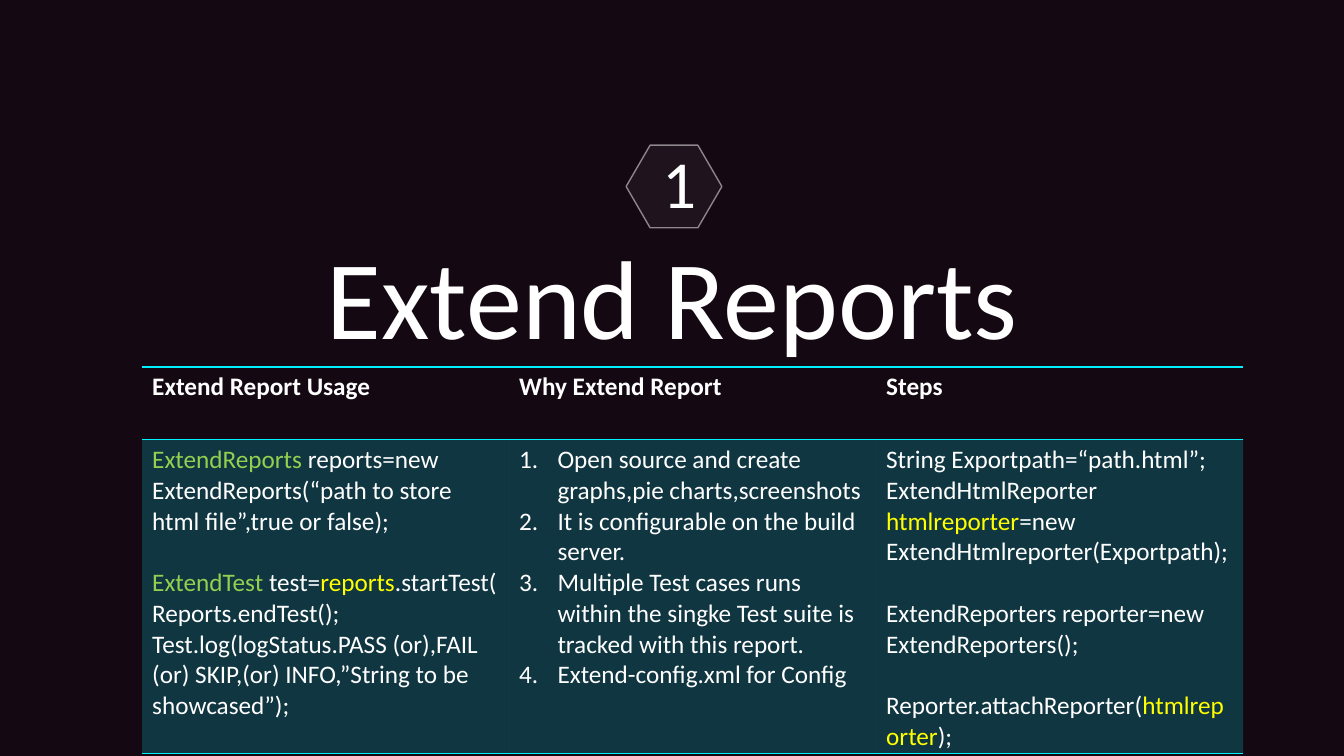
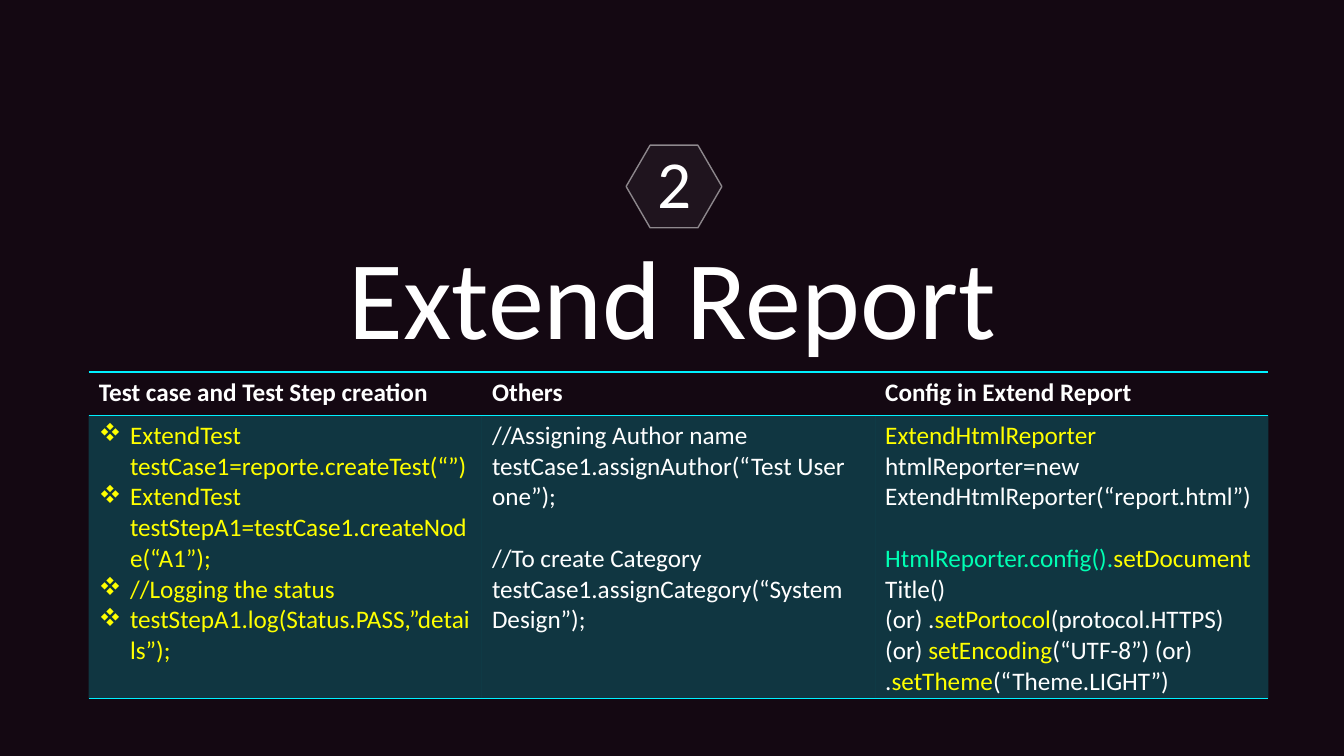
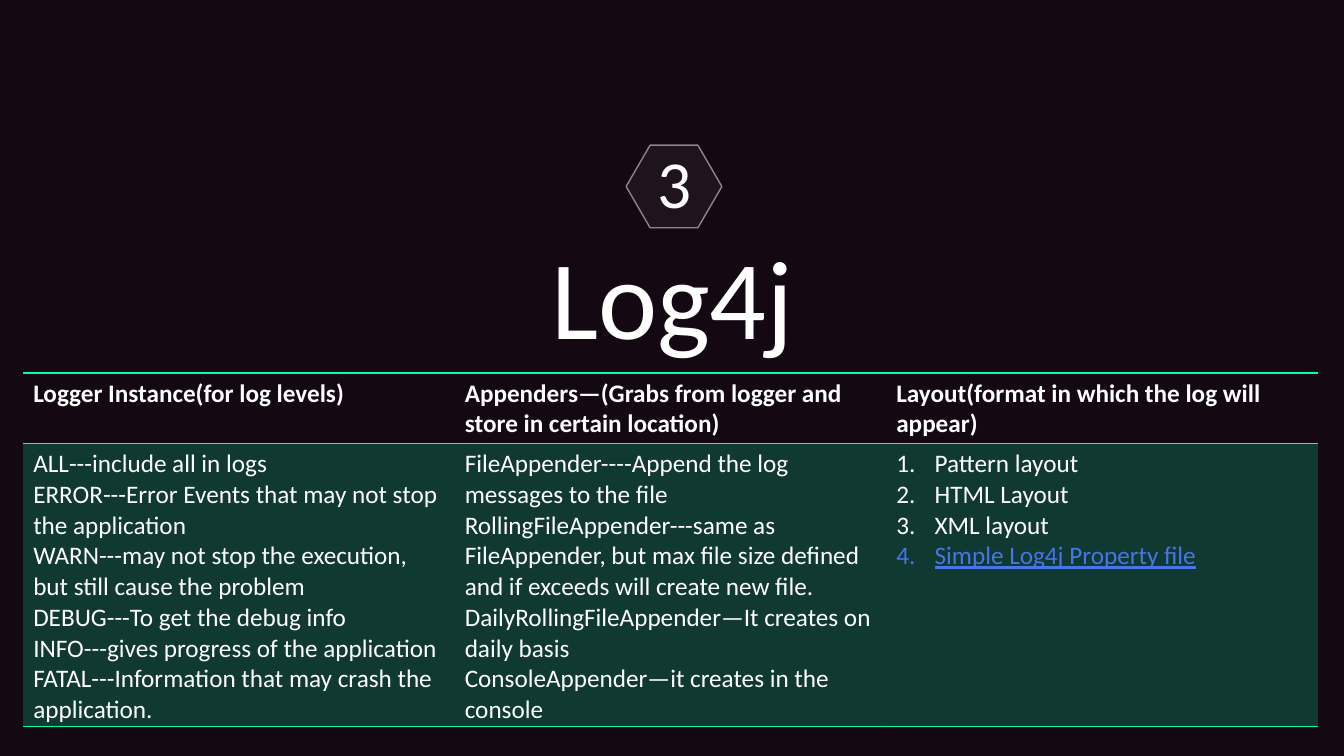
from dataclasses import dataclass

from lxml.etree import SubElement
from pptx import Presentation
from pptx.dml.color import RGBColor
from pptx.enum.shapes import MSO_SHAPE as Shape
from pptx.enum.text import MSO_AUTO_SIZE as AutoSize, PP_ALIGN as Align
from pptx.oxml.ns import qn
from pptx.util import Inches, Pt

# Shared look
FONT = "Calibri"
BACKGROUND = "140812"
WHITE = "FFFFFF"
YELLOW = "FFFF00"
LIME = "92D050"
CYAN = "00F1FF"
MINT = "00FFB3"
LINK_BLUE = "4775E7"
PLAIN_TABLE = "{2D5ABB26-0587-4C30-8999-92F81FD0307C}"
CENTER = 6.67
BODY_SIZE = 18
LINE_GAP = 22
NUMBER, DIAMOND = "number", "diamond"
INDENTS = {NUMBER: 0.38, DIAMOND: 0.31}


@dataclass
class Span:
    text: str
    color: str = WHITE
    underline: bool = False


@dataclass
class Line:
    spans: list
    bullet: str = ""
    gap: bool = False


def line(*parts, bullet="", gap=False):
    """Plain strings are white; a pair is a text and its colour."""
    spans = [Span(part) if isinstance(part, str) else Span(*part)
             for part in parts]
    return Line(spans, bullet, gap)


def lines(*texts, bullet="", color=WHITE):
    return [line((text, color), bullet=bullet) for text in texts]


# Formatting helpers
def rgb(color):
    return RGBColor.from_string(color)


def set_alpha(fill_parent, percent):
    color = fill_parent.find(qn("a:solidFill"))[0]
    SubElement(color, qn("a:alpha"), val=str(percent * 1000))


def add_span(para, text, size, color=WHITE, bold=False, underline=False):
    span = para.add_run()
    span.text = text
    span.font.name = FONT
    span.font.size = Pt(size)
    span.font.color.rgb = rgb(color)
    span.font.bold = bold
    if underline:
        span.font.underline = True
    return span


def set_bullet(para, kind):
    props = para._p.get_or_add_pPr()
    indent = Inches(INDENTS[kind])
    props.set("marL", str(indent))
    props.set("indent", str(-indent))
    if kind == NUMBER:
        SubElement(props, qn("a:buFont"), typeface="+mj-lt")
        SubElement(props, qn("a:buAutoNum"), type="arabicPeriod")
    else:
        # The letter v is the diamond in Wingdings
        SubElement(props, qn("a:buFont"), typeface="Wingdings", charset="2")
        SubElement(props, qn("a:buChar"), char="v")


def set_border(cell, side, color):
    props = cell._tc.get_or_add_tcPr()
    edge = SubElement(props, qn("a:" + side), w=str(Pt(1)))
    fill = SubElement(edge, qn("a:solidFill"))
    SubElement(fill, qn("a:srgbClr"), val=color)


# Slide parts
def add_label(page, text, top, width, height, size):
    box = page.shapes.add_textbox(Inches(CENTER - width / 2), Inches(top),
                                  Inches(width), Inches(height))
    box.text_frame.word_wrap = False
    box.text_frame.auto_size = AutoSize.SHAPE_TO_FIT_TEXT
    para = box.text_frame.paragraphs[0]
    para.alignment = Align.CENTER
    return para, add_span(para, text, size)


def add_heading(page, number, title, title_width, number_width):
    badge = page.shapes.add_shape(Shape.HEXAGON, Inches(6.21), Inches(1.44),
                                  Inches(0.95), Inches(0.82))
    badge.shadow.inherit = False
    badge.adjustments[0] = 0.29
    badge.fill.solid()
    badge.fill.fore_color.rgb = rgb(WHITE)
    set_alpha(badge._element.spPr, 5)
    badge.line.color.rgb = rgb(WHITE)
    badge.line.width = Pt(1)
    set_alpha(badge._element.spPr.find(qn("a:ln")), 50)

    para, _ = add_label(page, title, 2.68, title_width, 1, 80)
    para.line_spacing = 0.6
    _, digit = add_label(page, number, 1.35, number_width, 0.91, 48)
    digit._r.get_or_add_rPr().set("spc", "-300")


def fill_header(cell, text, accent):
    add_span(cell.text_frame.paragraphs[0], text, BODY_SIZE, bold=True)
    set_border(cell, "lnT", accent)
    set_border(cell, "lnB", accent)
    cell.fill.background()


def fill_body(cell, content, accent, closed):
    frame = cell.text_frame
    for index, item in enumerate(content):
        para = frame.add_paragraph() if index else frame.paragraphs[0]
        if item.gap:
            para.space_before = Pt(LINE_GAP)
        if item.bullet:
            set_bullet(para, item.bullet)
        for span in item.spans:
            if span.text == "\n":
                para.add_line_break()
            else:
                add_span(para, span.text, BODY_SIZE, span.color,
                         underline=span.underline)
    set_border(cell, "lnT", accent)
    if closed:
        set_border(cell, "lnB", accent)
    cell.fill.solid()
    cell.fill.fore_color.rgb = rgb(accent)
    set_alpha(cell._tc.tcPr, 20)


def add_topic_table(page, columns, left, top, column_width, heights, accent):
    """Heights are header, body and, if given, an empty open row."""
    frame = page.shapes.add_table(
        len(heights), len(columns), Inches(left), Inches(top),
        Inches(column_width * len(columns)), Inches(sum(heights)))
    table = frame.table
    table.horz_banding = False
    table._tbl.tblPr.find(qn("a:tableStyleId")).text = PLAIN_TABLE
    for row, height in zip(table.rows, heights):
        row.height = Inches(height)
    for index, (header, content) in enumerate(columns):
        table.columns[index].width = Inches(column_width)
        fill_header(table.cell(0, index), header, accent)
        fill_body(table.cell(1, index), content, accent, len(heights) == 2)
        for row in range(2, len(heights)):
            table.cell(row, index).fill.background()


def add_page(deck, number, title, title_width, number_width=0.5):
    page = deck.slides.add_slide(deck.slide_layouts[6])
    page.background.fill.solid()
    page.background.fill.fore_color.rgb = rgb(BACKGROUND)
    add_heading(page, number, title, title_width, number_width)
    return page


# Slides
def add_usage_page(deck):
    page = add_page(deck, "1", "Extend Reports", 7.15, 0.4)
    usage = [
        line(("ExtendReports", LIME),
             " reports=new ExtendReports(“path to store html file”,true or false);"),
        line(("ExtendTest", LIME), " test=", ("reports", YELLOW),
             ".startTest(", gap=True),
        line("Reports.endTest();"),
        line("Test.log(logStatus.PASS (or),FAIL (or) SKIP,(or) INFO,"
             "”String to be showcased”);"),
    ]
    reasons = lines(
        "Open source and create graphs,pie charts,screenshots",
        "It is configurable on the build server.",
        "Multiple Test cases runs within the singke Test suite is tracked "
        "with this report.",
        "Extend-config.xml for Config", bullet=NUMBER)
    steps = [
        line("String Exportpath=“path.html”;"),
        line("ExtendHtmlReporter ", ("htmlreporter", YELLOW),
             "=new ExtendHtmlreporter(Exportpath);"),
        line("ExtendReporters reporter=new ExtendReporters();", gap=True),
        line("Reporter.attachReporter(", ("htmlreporter", YELLOW), ");",
             gap=True),
    ]
    columns = [("Extend Report Usage", usage), ("Why Extend Report", reasons),
               ("Steps", steps)]
    add_topic_table(page, columns, 1.41, 3.64, 3.64, (0.72, 3.09), CYAN)


def add_config_page(deck):
    page = add_page(deck, "2", "Extend Report", 6.72)
    creation = lines(
        "ExtendTest testCase1=reporte.createTest(“”)",
        "ExtendTest testStepA1=testCase1.createNode(“A1”);",
        "//Logging the status",
        "testStepA1.log(Status.PASS,”details”);",
        bullet=DIAMOND, color=YELLOW)
    others = [
        line("//Assigning Author name"),
        line("testCase1.assignAuthor(“Test User one”);"),
        line("//To create Category", gap=True),
        line("testCase1.assignCategory(“System Design”);"),
    ]
    config = [
        line(("ExtendHtmlReporter ", YELLOW),
             "htmlReporter=new ExtendHtmlReporter(“report.html”)"),
        line(("HtmlReporter.config().", MINT), ("setDocument", YELLOW),
             "Title()", "\n", "(or) .", ("setPortocol", YELLOW),
             "(protocol.HTTPS) (or) ", ("setEncoding", YELLOW),
             "(“UTF-8”) (or)", gap=True),
        line(".", ("setTheme", YELLOW), "(“Theme.LIGHT”)"),
    ]
    columns = [("Test case and Test Step creation", creation),
               ("Others", others), ("Config in Extend Report", config)]
    add_topic_table(page, columns, 0.88, 3.69, 3.9, (0.43, 2.79, 0.59), CYAN)


def add_logging_page(deck):
    page = add_page(deck, "3", "Log4j", 2.63)
    levels = lines(
        "ALL---include all in logs",
        "ERROR---Error Events that may not stop the application",
        "WARN---may not stop the execution, but still cause the problem",
        "DEBUG---To get the debug info",
        "INFO---gives progress of the application",
        "FATAL---Information that may crash the application.")
    appenders = lines(
        "FileAppender----Append the log messages to the file",
        "RollingFileAppender---same as FileAppender, but max file size "
        "defined and if exceeds will create new file.",
        "DailyRollingFileAppender—It creates on daily basis",
        "ConsoleAppender—it creates in the console")
    layouts = lines("Pattern layout", "HTML Layout", "XML layout",
                    bullet=NUMBER)
    layouts.append(line(("Simple Log4j Property file", LINK_BLUE, True),
                        bullet=NUMBER))
    columns = [
        ("Logger Instance(for log levels)", levels),
        ("Appenders—(Grabs from logger and store in certain location)",
         appenders),
        ("Layout(format in which the log will appear)", layouts),
    ]
    add_topic_table(page, columns, 0.23, 3.7, 4.28, (0.69, 2.81), MINT)


def main():
    deck = Presentation()
    deck.slide_width = Inches(13.33)
    deck.slide_height = Inches(7.5)
    add_usage_page(deck)
    add_config_page(deck)
    add_logging_page(deck)
    deck.save("out.pptx")


if __name__ == "__main__":
    main()
